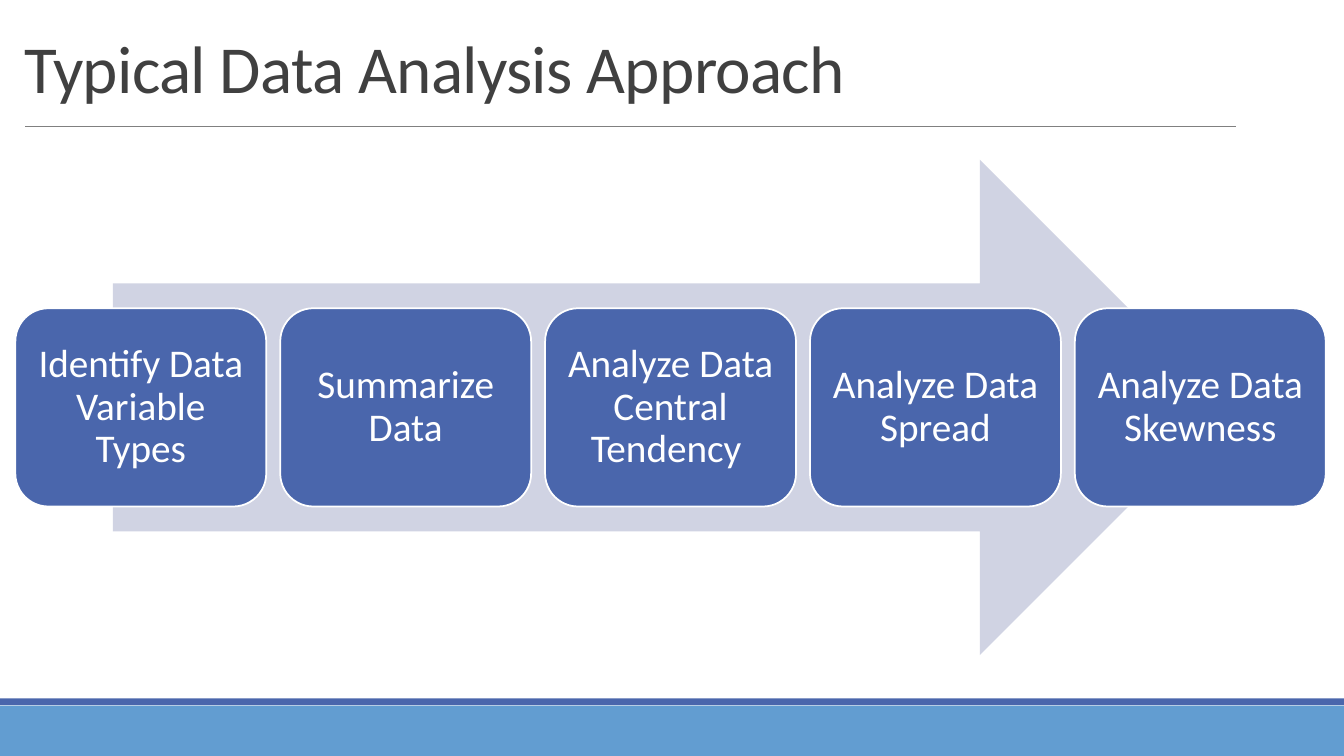
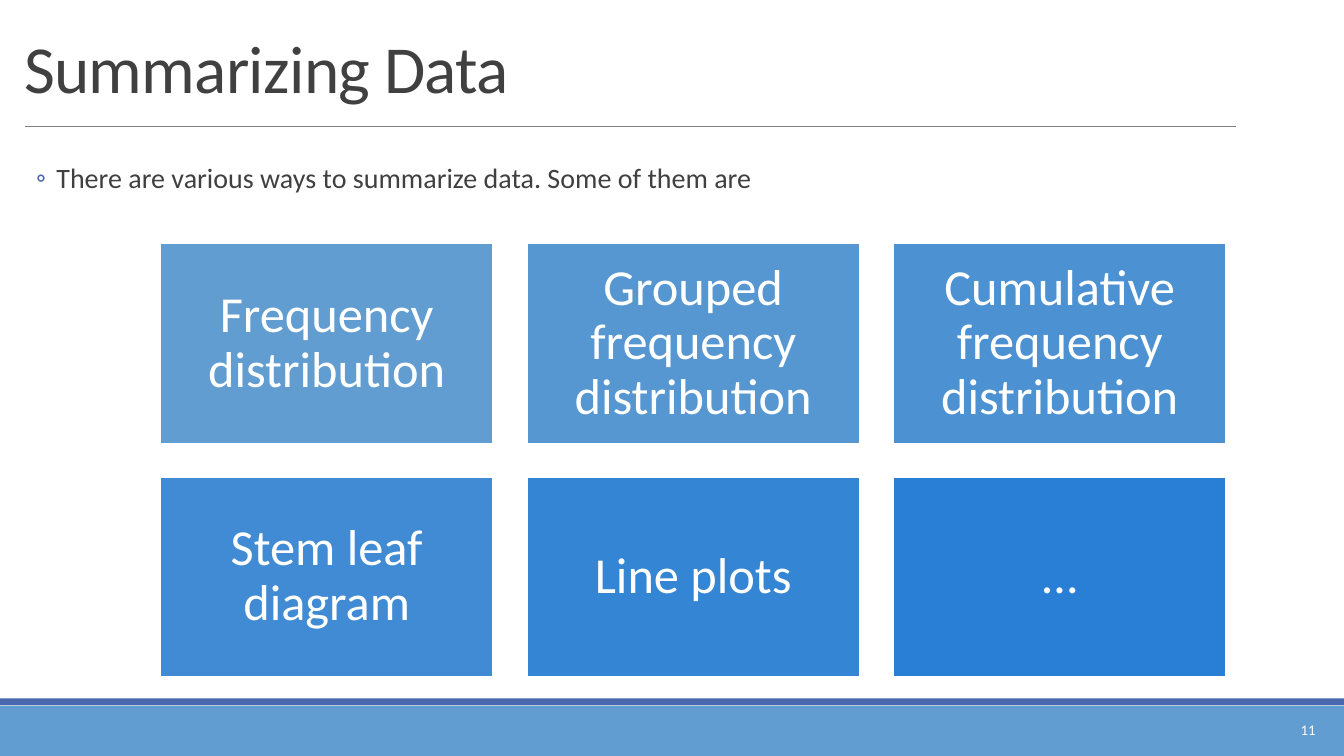
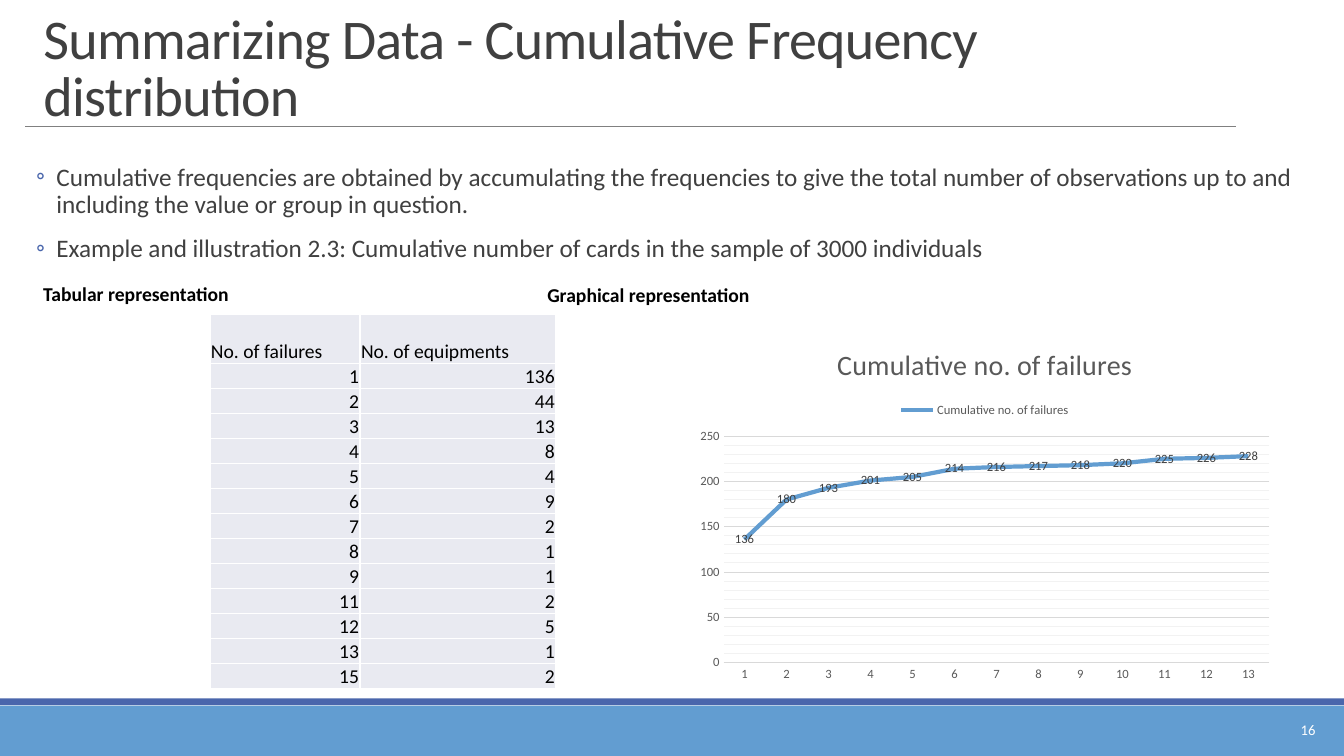
from dataclasses import dataclass
from typing import Any, NamedTuple, Optional

from lxml import etree
from pptx import Presentation
from pptx.chart import data as chart_data
from pptx.dml import color as dml
from pptx.enum import chart as charts, shapes, text
from pptx.oxml import ns
from pptx.util import Pt

FONT = "Calibri"
COLORS = {
    "band": "629DD1", "accent": "4A66AC", "rule": "808080", "title": "404040",
    "arrow": "D0D3E3", "white": "FFFFFF", "black": "000000", "cell": "E9EAF1",
    "axis": "595959", "grid": "D9D9D9", "minor": "F2F2F2",
    "tile1": "629DD1", "tile2": "5797D1", "tile3": "4C91D2",
    "tile4": "408BD3", "tile5": "3485D4", "tile6": "297FD5",
}
WIDTH, HEIGHT = 960, 540


class Area(NamedTuple):
    left: float
    top: float
    width: float
    height: float

    def lengths(self) -> list[Pt]:
        return [Pt(value) for value in self]


@dataclass
class TextStyle:
    size: float
    color: str = "white"
    bold: bool = False
    align: Any = text.PP_ALIGN.LEFT
    anchor: Any = text.MSO_ANCHOR.TOP
    line_spacing: float = 1.0
    inset: tuple[float, float] = (7.2, 3.6)


@dataclass
class Block:
    label: str
    area: Area
    fill: str


CENTERED = {"align": text.PP_ALIGN.CENTER, "anchor": text.MSO_ANCHOR.MIDDLE, "line_spacing": 0.9}
STEP_TEXT = TextStyle(28, inset=(8.4, 8.4), **CENTERED)
TILE_TEXT = TextStyle(36, inset=(10.8, 10.8), **CENTERED)
HEADING = TextStyle(14, "black", bold=True)
PAGE_NUMBER = TextStyle(10.5, align=text.PP_ALIGN.RIGHT, anchor=text.MSO_ANCHOR.MIDDLE)
TITLE_AREA = Area(10.1, 12.2, 866.2, 67.7)


# Formatting helpers
def rgb(name: str) -> dml.RGBColor:
    return dml.RGBColor.from_string(COLORS[name])


def apply(target: Any, values: dict[str, Any]) -> None:
    for name, value in values.items():
        setattr(target, name, value)


def format_font(font: Any, size: float, color: str, bold: bool = False) -> None:
    apply(font, {"name": FONT, "size": Pt(size), "bold": bold})
    font.color.rgb = rgb(color)


def format_line(line: Any, color: str, width: float) -> None:
    line.color.rgb = rgb(color)
    line.width = Pt(width)


def add_line_xml(parent: Any, tag: str, color: str, width: float) -> None:
    line = etree.SubElement(parent, ns.qn(tag), w=str(Pt(width)))
    fill = etree.SubElement(line, ns.qn("a:solidFill"))
    etree.SubElement(fill, ns.qn("a:srgbClr"), val=COLORS[color])


def write(frame: Any, lines: list[str], style: TextStyle) -> None:
    side, edge = (Pt(value) for value in style.inset)
    apply(frame, {"word_wrap": True, "auto_size": text.MSO_AUTO_SIZE.NONE,
                  "vertical_anchor": style.anchor, "margin_left": side,
                  "margin_right": side, "margin_top": edge, "margin_bottom": edge})
    for index, line in enumerate(lines):
        para = frame.paragraphs[0] if index == 0 else frame.add_paragraph()
        apply(para, {"alignment": style.align, "line_spacing": style.line_spacing})
        span = para.add_run()
        span.text = line
        format_font(span.font, style.size, style.color, style.bold)


# Drawing helpers
def add_text(page: Any, area: Area, lines: list[str], style: TextStyle) -> Any:
    box = page.shapes.add_textbox(*area.lengths())
    write(box.text_frame, lines, style)
    return box


def add_filled(page: Any, kind: Any, area: Area, fill: str, outline: Optional[str] = None) -> Any:
    shape = page.shapes.add_shape(kind, *area.lengths())
    shape.shadow.inherit = False
    shape.fill.solid()
    shape.fill.fore_color.rgb = rgb(fill)
    if outline:
        format_line(shape.line, outline, 1.25)
    else:
        shape.line.fill.background()
    return shape


def add_block(page: Any, kind: Any, block: Block, style: TextStyle) -> None:
    shape = add_filled(page, kind, block.area, block.fill, "white")
    write(shape.text_frame, [block.label], style)


def add_bullets(page: Any, area: Area, lines: list[str], size: float, gap: float) -> None:
    style = TextStyle(size, "title", line_spacing=0.9, inset=(0, 3.6))
    box = add_text(page, area, lines, style)
    for index, para in enumerate(box.text_frame.paragraphs):
        apply(para, {"space_before": Pt(gap if index else 0), "space_after": Pt(gap)})
        properties = para._p.get_or_add_pPr()
        properties.set("marL", str(Pt(30.2)))
        properties.set("indent", str(-Pt(14.4)))
        bullet_color = etree.SubElement(properties, ns.qn("a:buClr"))
        etree.SubElement(bullet_color, ns.qn("a:srgbClr"), val=COLORS["accent"])
        etree.SubElement(properties, ns.qn("a:buFont"), typeface=FONT)
        etree.SubElement(properties, ns.qn("a:buChar"), char="◦")


def add_page(deck: Any, title: str, number: Optional[int] = None,
             title_area: Area = TITLE_AREA, title_size: float = 48) -> Any:
    """Add a slide with the shared bands, rule, title and page number."""
    page = deck.slides.add_slide(deck.slide_layouts[5])
    rectangle = shapes.MSO_SHAPE.RECTANGLE
    add_filled(page, rectangle, Area(0, 504, WIDTH, 36), "band")
    add_filled(page, rectangle, Area(0, 498.8, WIDTH, 5), "accent")
    rule = page.shapes.add_connector(shapes.MSO_CONNECTOR.STRAIGHT,
                                     Pt(18), Pt(90.2), Pt(882.8), Pt(90.2))
    format_line(rule.line, "rule", 0.5)
    etree.SubElement(rule._element.spPr, ns.qn("a:effectLst"))

    heading = page.shapes.title
    apply(heading, dict(zip(title_area._fields, title_area.lengths())))
    write(heading.text_frame, [title],
          TextStyle(title_size, "title", anchor=text.MSO_ANCHOR.BOTTOM, line_spacing=0.85))
    for span in heading.text_frame.paragraphs[0].runs:
        span._r.get_or_add_rPr().set("spc", "-50")
    if number is not None:
        add_text(page, Area(843.8, 507, 103, 28.8), [str(number)], PAGE_NUMBER)
    return page


# Table and chart
def add_failure_table(page: Any, area: Area, rows: list[tuple[Any, Any]]) -> None:
    table = page.shapes.add_table(len(rows), 2, *area.lengths()).table
    apply(table, {"first_row": False, "horz_banding": False})
    for column, width in zip(table.columns, (107.2, 139.8)):
        column.width = Pt(width)
    for index, values in enumerate(rows):
        table.rows[index].height = Pt(17.83 if index else 35.3)
        align = text.PP_ALIGN.RIGHT if index else text.PP_ALIGN.LEFT
        for column_index, value in enumerate(values):
            cell = table.cell(index, column_index)
            apply(cell, {"margin_left": Pt(0.7), "margin_right": Pt(0.7),
                         "margin_top": Pt(0.7), "margin_bottom": 0,
                         "vertical_anchor": text.MSO_ANCHOR.BOTTOM})
            para = cell.text_frame.paragraphs[0]
            para.alignment = align
            span = para.add_run()
            span.text = str(value)
            format_font(span.font, 14, "black")
            properties = cell._tc.get_or_add_tcPr()
            for side in ("a:lnL", "a:lnR", "a:lnT", "a:lnB"):
                add_line_xml(properties, side, "white", 1)
            cell.fill.solid()
            cell.fill.fore_color.rgb = rgb("cell")


def add_cumulative_chart(page: Any, area: Area, name: str, totals: list[int]) -> None:
    data = chart_data.CategoryChartData()
    data.categories = [str(index) for index in range(1, len(totals) + 1)]
    data.add_series(name, totals)
    chart = page.shapes.add_chart(charts.XL_CHART_TYPE.LINE, *area.lengths(), data).chart
    format_font(chart.font, 10, "black")

    # Title and legend
    chart.has_title = True
    para = chart.chart_title.text_frame.paragraphs[0]
    span = para.add_run()
    span.text = name
    format_font(span.font, 20, "axis")
    chart.has_legend = True
    apply(chart.legend, {"position": charts.XL_LEGEND_POSITION.TOP, "include_in_layout": False})
    format_font(chart.legend.font, 9, "axis")

    # Axes
    no_tick = charts.XL_TICK_MARK.NONE
    for axis in (chart.category_axis, chart.value_axis):
        apply(axis, {"major_tick_mark": no_tick, "minor_tick_mark": no_tick})
        format_font(axis.tick_labels.font, 9, "axis")
    format_line(chart.category_axis.format.line, "grid", 0.75)
    values = chart.value_axis
    apply(values, {"minimum_scale": 0, "maximum_scale": 250, "major_unit": 50, "minor_unit": 10,
                   "has_major_gridlines": True, "has_minor_gridlines": True})
    values.format.line.fill.background()
    format_line(values.major_gridlines.format.line, "grid", 0.75)
    minor_grid = values._element.find(ns.qn("c:minorGridlines"))
    add_line_xml(etree.SubElement(minor_grid, ns.qn("c:spPr")), "a:ln", "minor", 0.75)

    # Line and its labels
    plot = chart.plots[0]
    plot.vary_by_categories = False
    series = plot.series[0]
    series.smooth = False
    series.marker.style = charts.XL_MARKER_STYLE.NONE
    format_line(series.format.line, "band", 3)
    labels = series.data_labels
    apply(labels, {"show_value": True, "position": charts.XL_LABEL_POSITION.CENTER})
    format_font(labels.font, 9, "title")


# Slides
def build_approach(deck: Any) -> None:
    page = add_page(deck, "Typical Data Analysis Approach")
    add_filled(page, shapes.MSO_SHAPE.RIGHT_ARROW, Area(80.6, 114, 796.3, 354), "arrow")
    steps = ["Identify Data Variable Types", "Summarize Data", "Analyze Data Central Tendency ",
             "Analyze Data Spread", "Analyze Data Skewness"]
    width, gap = 179.2, 10
    for index, label in enumerate(steps):
        area = Area(11 + index * (width + gap), 220.2, width, 141.6)
        add_block(page, shapes.MSO_SHAPE.ROUNDED_RECTANGLE, Block(label, area, "accent"), STEP_TEXT)


def build_summary(deck: Any) -> None:
    page = add_page(deck, "Summarizing Data", 11)
    add_bullets(page, Area(10.1, 113.8, 936.7, 41.8),
                ["There are various ways to summarize data. Some of them are"], 20, 4)
    methods = ["Frequency distribution", "Grouped frequency distribution",
               "Cumulative frequency distribution", "Stem leaf diagram", "Line plots", "…"]
    width, height, gap = 238, 142.8, 23.8
    for index, label in enumerate(methods):
        row, column = divmod(index, 3)
        area = Area(114.4 + column * (width + gap), 174 + row * (height + gap), width, height)
        add_block(page, shapes.MSO_SHAPE.RECTANGLE,
                  Block(label, area, f"tile{index + 1}"), TILE_TEXT)


def build_cumulative(deck: Any) -> None:
    page = add_page(deck, "Summarizing Data - Cumulative Frequency distribution", 16,
                    Area(23.8, 27.4, 866.2, 67.7), 40)
    add_bullets(page, Area(10.1, 113.8, 936.7, 354), [
        "Cumulative frequencies are obtained by accumulating the frequencies to give the total "
        "number of observations up to and including the value or group in question.",
        "Example and illustration 2.3: Cumulative number of cards in the sample of 3000 individuals",
    ], 18, 6)
    add_text(page, Area(23.8, 198, 156.2, 24.2), ["Tabular representation"], HEADING)
    add_text(page, Area(383.8, 198.7, 257.8, 24.2), ["Graphical representation"], HEADING)
    failures = [1, 2, 3, 4, 5, 6, 7, 8, 9, 11, 12, 13, 15]
    equipments = [136, 44, 13, 8, 4, 9, 2, 1, 1, 2, 5, 1, 2]
    add_failure_table(page, Area(150, 224.6, 247, 267.1),
                      [("No. of failures", "No. of equipments"), *zip(failures, equipments)])
    add_cumulative_chart(page, Area(491.8, 234, 423.4, 257.8), "Cumulative no. of failures",
                         [136, 180, 193, 201, 205, 214, 216, 217, 218, 220, 225, 226, 228])


def main() -> None:
    deck = Presentation()
    apply(deck, {"slide_width": Pt(WIDTH), "slide_height": Pt(HEIGHT)})
    for build in (build_approach, build_summary, build_cumulative):
        build(deck)
    deck.save("out.pptx")


if __name__ == "__main__":
    main()
